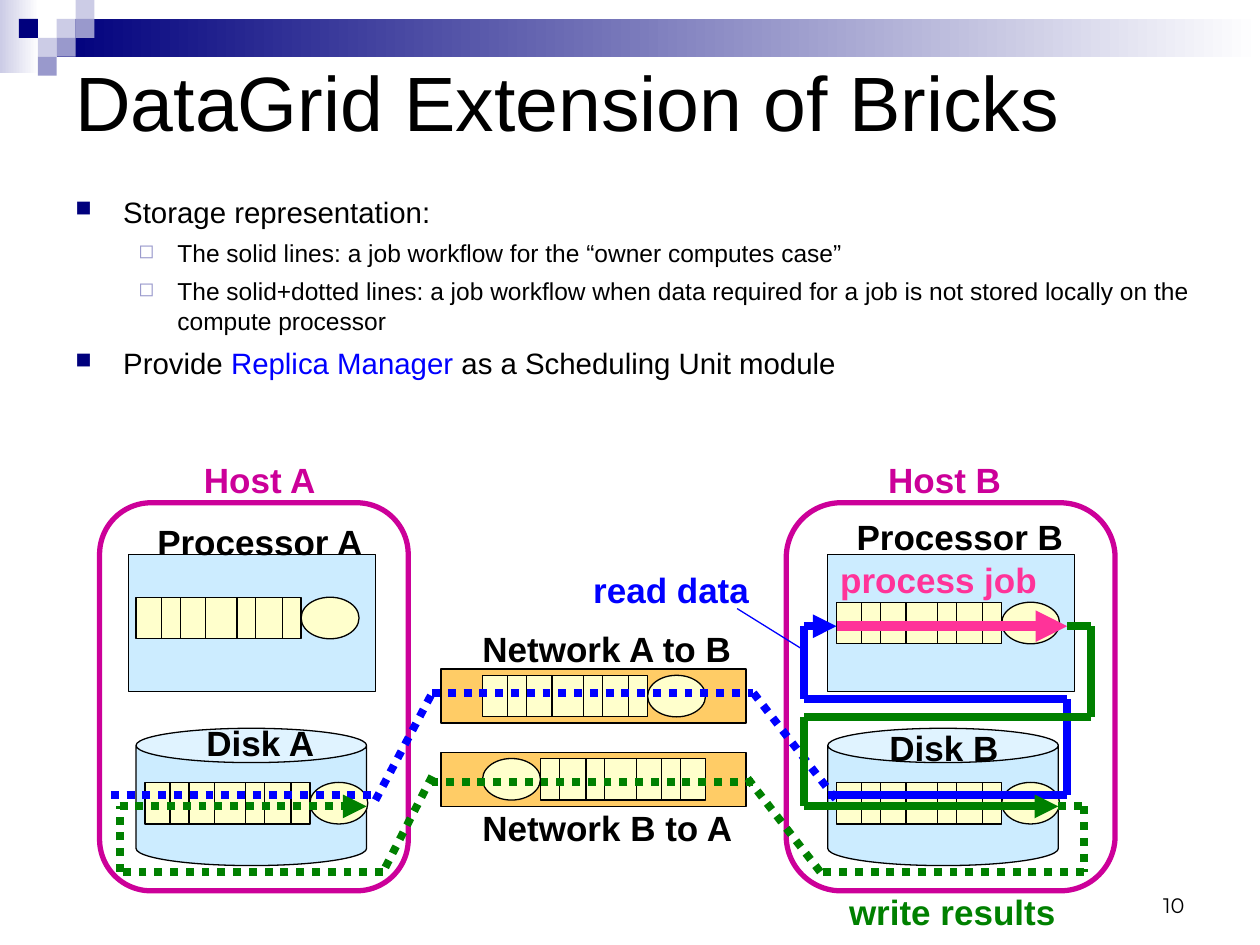
from itertools import pairwise

from lxml import etree
from pptx import Presentation
from pptx.dml.color import RGBColor
from pptx.enum.dml import MSO_LINE
from pptx.enum.shapes import MSO_CONNECTOR, MSO_SHAPE
from pptx.enum.text import MSO_ANCHOR, MSO_AUTO_SIZE, PP_ALIGN
from pptx.oxml.ns import qn
from pptx.util import Inches, Pt

THEME = {
    "font": "Arial", "number_font": "Montserrat",
    "title": 44, "body": 16.8, "sub": 14, "label": 20, "number": 12,
    "black": "000000", "white": "FFFFFF", "navy": "00007D",
    "lavender": "CCCCE6", "violet": "9999CC", "sky": "CCECFF",
    "orange": "FFCC66", "cream": "FFFFCC", "magenta": "CC0099",
    "pink": "FF3399", "blue": "0000FF", "green": "008000",
}

TITLE = "DataGrid Extension of Bricks"
# (level, [(text, colour), ...])
BODY = [
    (0, [("Storage representation:", "black")]),
    (1, [("The solid lines: a job workflow for the “owner computes case”", "black")]),
    (1, [("The solid+dotted lines: a job workflow when data required for a job "
          "is not stored locally on the compute processor", "black")]),
    (0, [("Provide ", "black"), ("Replica Manager", "blue"),
         (" as a Scheduling Unit module", "black")]),
]
# size, indent, hanging, space before, bullet, bullet colour, bullet percent
LEVELS = [
    ("body", 0.38, 0.38, 6, "■", "navy", 75),
    ("sub", 0.81, 0.31, 5, "◻", "violet", 80),
]

BANDS = [((0, 0, 0.31, 0.58), "lavender"), ((0.45, 0.15, 9.55, 0.3), "navy")]
TILE = 0.15
# (column, row, colour)
TILES = [(3, 1, "lavender"), (4, 0, "lavender"), (4, 1, "violet"), (2, 2, "lavender"),
         (1, 1, "navy"), (3, 2, "violet"), (2, 3, "violet")]

PANELS = [
    (MSO_SHAPE.CAN, (1.08, 5.78, 1.83, 1.09), "sky"),
    (MSO_SHAPE.RECTANGLE, (1.02, 4.4, 1.96, 1.09), "sky"),
    (MSO_SHAPE.CAN, (6.57, 5.78, 1.83, 1.09), "sky"),
    (MSO_SHAPE.RECTANGLE, (6.57, 4.4, 1.96, 1.09), "sky"),
    (MSO_SHAPE.RECTANGLE, (3.5, 5.31, 2.42, 0.43), "orange"),
    (MSO_SHAPE.RECTANGLE, (3.5, 5.97, 2.42, 0.43), "orange"),
]
HOSTS = [(0.79, 3.99, 2.45, 3.08), (6.24, 3.99, 2.61, 3.08)]

# (left, top, mirrored)
QUEUES = [(1.15, 6.21, False), (1.08, 4.74, False), (3.83, 5.36, False),
          (3.83, 6.02, True), (6.64, 4.78, False), (6.64, 6.21, False)]
QUEUE_LENGTH, SERVER_WIDTH, QUEUE_HEIGHT = 1.31, 0.46, 0.33
DIVIDERS = [0.2, 0.35, 0.55, 0.8, 0.95, 1.16]

# (colour, width, dotted, arrow at the end, points)
ROUTES = [
    ("blue", 4.5, True, False, [(0.88, 6.31), (2.98, 6.31)]),
    ("blue", 4.5, True, False, [(2.98, 6.35), (3.43, 5.5), (5.98, 5.5), (6.64, 6.35)]),
    ("blue", 4.5, False, True, [(6.57, 6.31), (8.47, 6.31), (8.47, 5.55), (6.38, 5.55),
                                (6.38, 4.97), (6.64, 4.97)]),
    ("pink", 6, False, True, [(6.64, 4.97), (8.47, 4.97)]),
    ("blue", 0.75, False, False, [(5.85, 4.83), (6.38, 5.16)]),
    ("green", 4.5, False, True, [(8.47, 4.97), (8.66, 4.97), (8.66, 5.69), (6.38, 5.69),
                                 (6.38, 6.4), (8.4, 6.4)]),
    ("green", 4.5, True, False, [(8.4, 6.4), (8.6, 6.4), (8.6, 6.92), (6.51, 6.92),
                                 (5.92, 6.16)]),
    ("green", 4.5, True, False, [(5.98, 6.21), (3.43, 6.21)]),
    ("green", 4.5, True, False, [(3.43, 6.16), (3.04, 6.92), (0.95, 6.92), (0.95, 6.4)]),
    ("green", 4.5, True, True, [(0.95, 6.4), (2.91, 6.4)]),
]

LABEL_HEIGHT = 0.44
# (text, left, top, width, colour)
LABELS = [
    ("Host A", 1.52, 3.59, 1.12, "magenta"), ("Host B", 6.95, 3.59, 1.12, "magenta"),
    ("Network A to B", 3.73, 4.93, 2.19, "black"),
    ("Network B to A", 3.73, 6.35, 2.19, "black"),
    ("read data", 4.61, 4.46, 1.44, "blue"), ("process job", 6.57, 4.38, 1.76, "pink"),
    ("write results", 6.64, 7.02, 1.84, "green"),
    ("Processor B", 6.7, 4.04, 1.84, "black"), ("Processor A", 1.15, 4.08, 1.84, "black"),
    ("Disk A", 1.54, 5.68, 1.09, "black"), ("Disk B", 6.96, 5.72, 1.09, "black"),
]


def color(name):
    return RGBColor.from_string(THEME[name])


def add_shape(slide, kind, box, fill=None, line=None, width=0.75):
    shape = slide.shapes.add_shape(kind, *map(Inches, box))
    shape.shadow.inherit = False
    if fill:
        shape.fill.solid()
        shape.fill.fore_color.rgb = color(fill)
    else:
        shape.fill.background()
    if line:
        shape.line.color.rgb = color(line)
        shape.line.width = Pt(width)
    else:
        shape.line.fill.background()
    return shape


def add_line(slide, start, end, line="black", width=0.75, dotted=False, arrow=False):
    connector = slide.shapes.add_connector(MSO_CONNECTOR.STRAIGHT, *map(Inches, start + end))
    connector.line.color.rgb = color(line)
    connector.line.width = Pt(width)
    if dotted:
        connector.line.dash_style = MSO_LINE.ROUND_DOT
    if arrow:
        etree.SubElement(connector.line._get_or_add_ln(), qn("a:tailEnd"), type="triangle")
    etree.SubElement(connector._element.spPr, qn("a:effectLst"))


def set_font(font, size, name="font", tint="black", bold=False):
    font.name, font.size, font.bold = THEME[name], Pt(THEME[size]), bold
    font.color.rgb = color(tint)


def add_text(slide, box, text, size, anchor=MSO_ANCHOR.TOP, wrap=True, **font):
    """Add a one-paragraph text box; without wrap the box grows to fit its text."""
    frame = slide.shapes.add_textbox(*map(Inches, box)).text_frame
    frame.word_wrap, frame.vertical_anchor = wrap, anchor
    frame.auto_size = MSO_AUTO_SIZE.NONE if wrap else MSO_AUTO_SIZE.SHAPE_TO_FIT_TEXT
    paragraph = frame.paragraphs[0]
    paragraph.text = text
    set_font(paragraph.font, size, **font)
    return paragraph


def add_bullet(paragraph, indent, hanging, bullet, tint, percent):
    properties = paragraph._p.get_or_add_pPr()
    properties.set("marL", str(Inches(indent)))
    properties.set("indent", str(-Inches(hanging)))
    bullet_color = etree.SubElement(properties, qn("a:buClr"))
    etree.SubElement(bullet_color, qn("a:srgbClr"), val=THEME[tint])
    etree.SubElement(properties, qn("a:buSzPct"), val=str(percent * 1000))
    etree.SubElement(properties, qn("a:buChar"), char=bullet)


def add_header(slide):
    for box, tint in BANDS:
        band = add_shape(slide, MSO_SHAPE.RECTANGLE, box, tint)
        band.fill.gradient()
        band.fill.gradient_angle = 180
        for stop, name in zip(band.fill.gradient_stops, ("white", tint)):
            stop.color.rgb = color(name)
    for column, row, tint in TILES:
        add_shape(slide, MSO_SHAPE.RECTANGLE, (column * TILE, row * TILE, TILE, TILE), tint)


def add_body(slide):
    frame = slide.shapes.add_textbox(*map(Inches, (0.5, 1.49, 9.23, 1.58))).text_frame
    frame.word_wrap = True
    for index, (level, runs) in enumerate(BODY):
        paragraph = frame.add_paragraph() if index else frame.paragraphs[0]
        size, indent, hanging, before, *bullet = LEVELS[level]
        paragraph.level = level
        paragraph.space_before = Pt(before if index else 0)
        add_bullet(paragraph, indent, hanging, *bullet)
        set_font(paragraph.font, size)
        for text, tint in runs:
            run = paragraph.add_run()
            run.text = text
            run.font.color.rgb = color(tint)


def add_queue(slide, left, top, mirrored):
    """Draw a row of waiting slots that ends in a round server; mirrored puts the server first."""
    def place(offset, width=0):
        return left + (QUEUE_LENGTH + SERVER_WIDTH - offset - width if mirrored else offset)

    for kind, offset, width in ((MSO_SHAPE.RECTANGLE, 0, QUEUE_LENGTH),
                                (MSO_SHAPE.OVAL, QUEUE_LENGTH, SERVER_WIDTH)):
        add_shape(slide, kind, (place(offset, width), top, width, QUEUE_HEIGHT),
                  "cream", "black")
    for offset in DIVIDERS:
        add_line(slide, (place(offset), top), (place(offset), top + QUEUE_HEIGHT))


def main():
    presentation = Presentation()
    presentation.slide_width, presentation.slide_height = Inches(10), Inches(7.5)
    slide = presentation.slides.add_slide(presentation.slide_layouts[6])
    add_header(slide)
    add_text(slide, (0.5, 0.05, 9, 1.5), TITLE, "title", MSO_ANCHOR.MIDDLE)
    add_body(slide)
    for kind, box, fill in PANELS:
        add_shape(slide, kind, box, fill, "black")
    for queue in QUEUES:
        add_queue(slide, *queue)
    for box in HOSTS:
        add_shape(slide, MSO_SHAPE.ROUNDED_RECTANGLE, box, line="magenta", width=3)
    for tint, width, dotted, arrow, points in ROUTES:
        for start, end in pairwise(points):
            add_line(slide, start, end, tint, width, dotted, arrow and end == points[-1])
    for text, left, top, width, tint in LABELS:
        add_text(slide, (left, top, width, LABEL_HEIGHT), text, "label",
                 wrap=False, tint=tint, bold=True)
    number = add_text(slide, (7.17, 6.83, 2.33, 0.5), "10", "number", MSO_ANCHOR.BOTTOM,
                      name="number_font")
    number.alignment = PP_ALIGN.RIGHT
    presentation.save("out.pptx")


if __name__ == "__main__":
    main()
